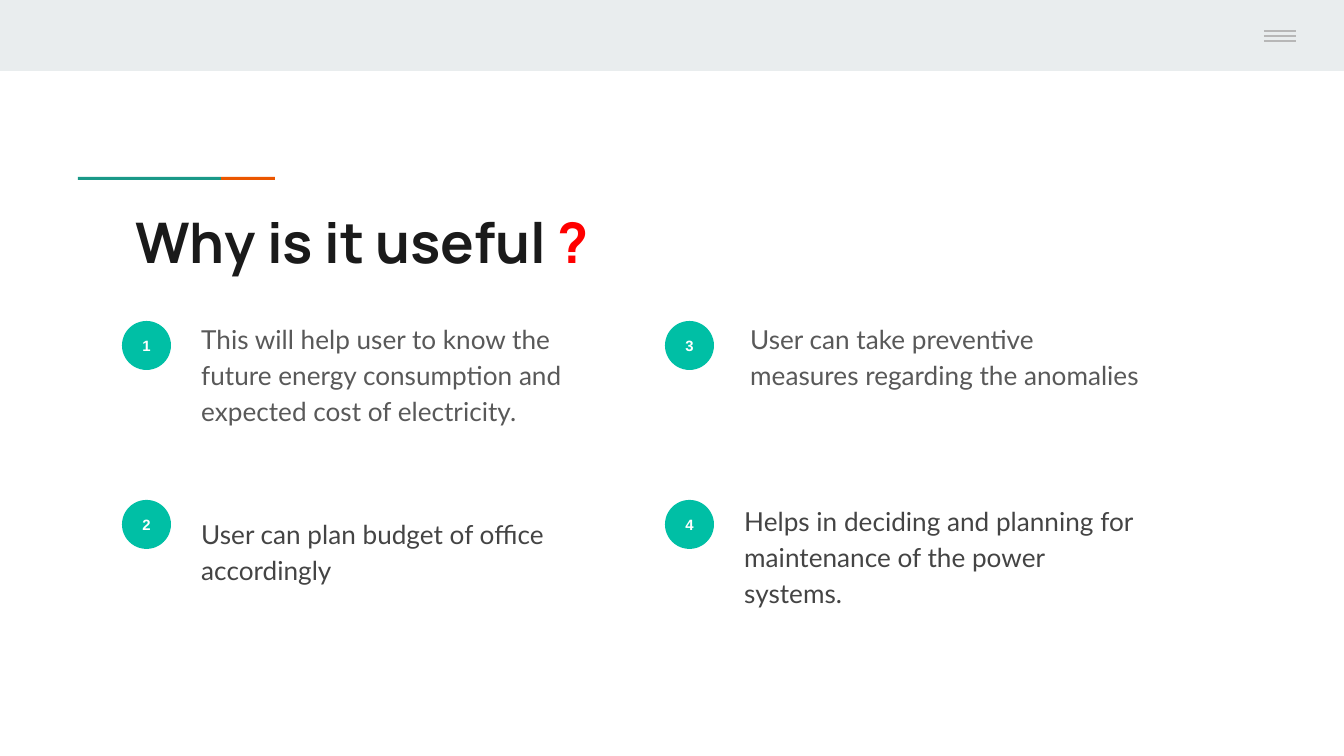
from pptx import Presentation
from pptx import util as u
from pptx.dml.color import RGBColor
from pptx.enum import shapes, text
from pptx.oxml.ns import qn
from lxml import etree

PX_PER_INCH = 134.4
TEAL, GREY, DARK = "00BFA5", "595959", "444444"
POINTS = [
    ("This will help user to know the future energy consumption and "
     "expected cost of electricity.", GREY, 66, -16),
    ("User can plan budget of office accordingly", DARK, 66, 0),
    ("User can take preventive measures regarding the anomalies", GREY, 72, -16),
    ("Helps in deciding and planning for maintenance of the power systems.",
     DARK, 66, -13),
]


def px(n):
    """Turn pixels into EMU."""
    return u.Emu(round(n * 914400 / PX_PER_INCH))


def rgb(value):
    """Turn a hex string into a colour."""
    return RGBColor.from_string(value)


def add_block(s, kind, box, fill):
    """Add a filled shape without outline or shadow."""
    sp = s.shapes.add_shape(kind, *map(px, box))
    sp.shadow.inherit = False
    sp.fill.solid()
    sp.fill.fore_color.rgb = rgb(fill)
    sp.line.fill.background()
    return sp


def set_insets(tf):
    """Wrap the text and give it equal insets."""
    tf.word_wrap = True
    tf.margin_left = tf.margin_right = u.Inches(0.1)
    tf.margin_top = tf.margin_bottom = u.Inches(0.1)


def add_text(s, box):
    """Add a wrapping text box and return its text frame."""
    tf = s.shapes.add_textbox(*map(px, box)).text_frame
    set_insets(tf)
    return tf


def style(r, font, size, colour, bold=False):
    """Set the font of a run."""
    r.font.name, r.font.size, r.font.bold = font, u.Pt(size), bold
    r.font.color.rgb = rgb(colour)


def add_header(s, x, y, w, h):
    """Draw the top band with its menu icon."""
    add_block(s, shapes.MSO_SHAPE.RECTANGLE, (x, y, w, h), "E9EDEE")
    for i in range(3):
        top = y + 31 + 5 * i
        line = s.shapes.add_connector(
            shapes.MSO_CONNECTOR.STRAIGHT,
            px(x + w - 80), px(top), px(x + w - 48), px(top))
        line.line.color.rgb = rgb("B7B7B7")
        line.line.width = u.Pt(0.75)
        etree.SubElement(line._element.spPr, qn("a:effectLst"))


def add_title(s, x, y, w, h):
    """Draw the two-colour accent rule and the title below it."""
    for left, width, colour in ((0, 143, "1A9988"), (143, 54, "EB5600")):
        add_block(s, shapes.MSO_SHAPE.RECTANGLE, (x + left, y, width, 3), colour)
    p = add_text(s, (x + 44, y + 17, w - 44, h - 17)).paragraphs[0]
    for words, colour in (("Why is it useful ", "1A1A1A"), ("?", "FF0000")):
        r = p.add_run()
        r.text = words
        style(r, "Manrope", 30, colour, True)


def add_point(s, x, y, number, words, colour, dx, dy):
    """Draw a numbered circle with its text to the right."""
    sp = add_block(s, shapes.MSO_SHAPE.OVAL, (x, y, 49, 49), TEAL)
    tf = sp.text_frame
    set_insets(tf)
    tf.vertical_anchor = text.MSO_ANCHOR.MIDDLE
    tf.text = str(number)
    p = tf.paragraphs[0]
    p.alignment = text.PP_ALIGN.CENTER
    style(p.runs[0], "Arial", 8, "FFFFFF", True)

    tf = add_text(s, (x + dx, y + dy, 417, 155))
    tf.text = words
    p = tf.paragraphs[0]
    p.line_spacing, p.space_after = 1.15, u.Pt(16)
    style(p.runs[0], "Lato", 14, colour)


def add_points(s, x, y, column_step, row_step):
    """Place the points in two columns, filled downwards."""
    for i, point in enumerate(POINTS):
        column, row = divmod(i, 2)
        add_point(s, x + column * column_step, y + row * row_step, i + 1, *point)


def main():
    """Build and save the slide."""
    prs = Presentation()
    prs.slide_width, prs.slide_height = px(1344), px(756)
    s = prs.slides.add_slide(prs.slide_layouts[6])
    add_header(s, 0, 0, 1344, 71)
    add_title(s, 78, 177, 1137, 96)
    add_points(s, 122, 321, 543, 179)
    prs.save("out.pptx")


if __name__ == "__main__":
    main()
